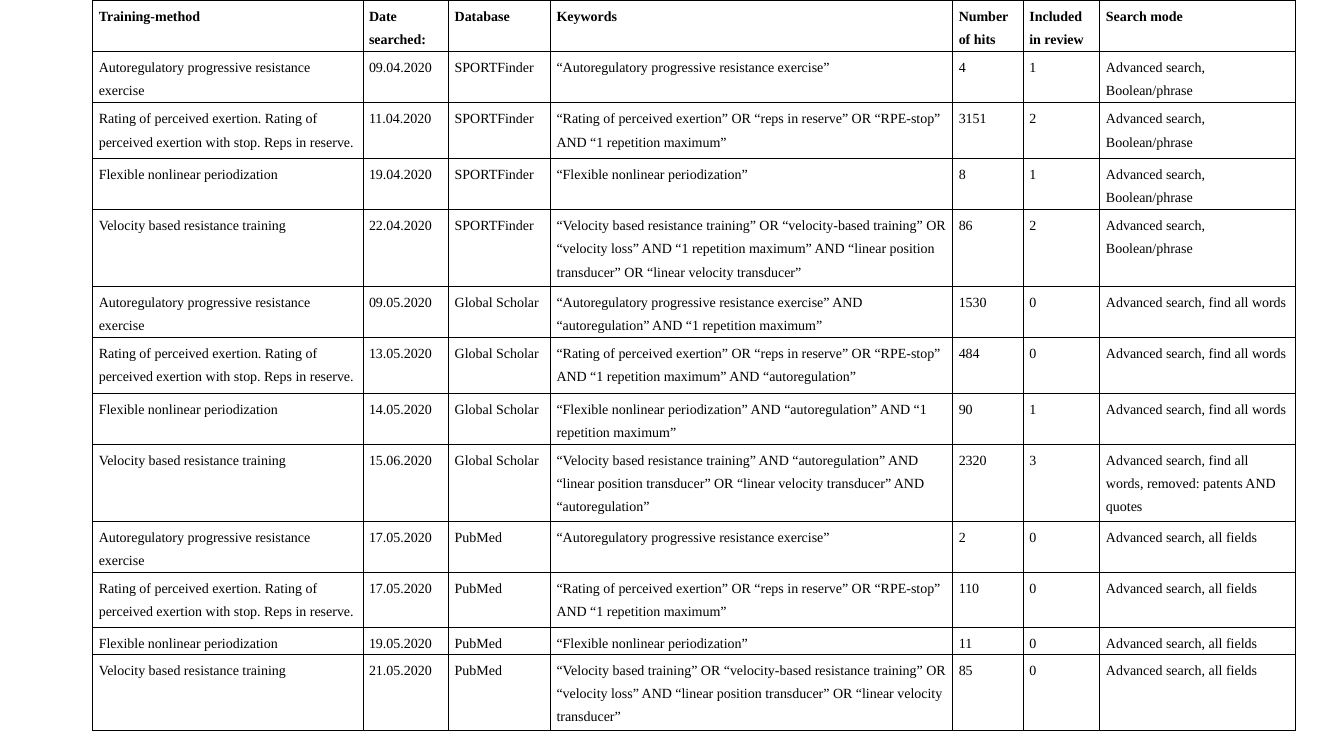
from dataclasses import dataclass

from lxml import etree
from pptx import Presentation
from pptx import util as u
from pptx.dml.color import RGBColor
from pptx.oxml import ns
from pptx.table import _Cell

PX = 9144
BLACK = RGBColor(0x00, 0x00, 0x00)
FONT = "Times New Roman"
COLUMN_WIDTHS = (268, 85, 101, 399, 70, 76, 194)
HEADINGS = (
    "Training-method", "Date searched:", "Database", "Keywords",
    "Number of hits", "Included in review", "Search mode",
)
HEADER_HEIGHT = 51

AUTOREGULATORY = "Autoregulatory progressive resistance exercise"
EXERTION = "Rating of perceived exertion. Rating of perceived exertion with stop. Reps in reserve."
FLEXIBLE = "Flexible nonlinear periodization"
VELOCITY = "Velocity based resistance training"

SPORT = "SPORTFinder"
SCHOLAR = "Global Scholar"
PUBMED = "PubMed"

PHRASE = "Advanced search, Boolean/phrase"
ALL_WORDS = "Advanced search, find all words"
ALL_FIELDS = "Advanced search, all fields"

EXERTION_QUERY = "“Rating of perceived exertion” OR “reps in reserve” OR “RPE-stop” AND “1 repetition maximum”"


@dataclass(frozen=True)
class Search:
    method: str
    date: str
    database: str
    keywords: str
    hits: int
    included: int
    mode: str
    height: int

    def texts(self) -> tuple[str, ...]:
        return (self.method, self.date, self.database, self.keywords,
                str(self.hits), str(self.included), self.mode)


SEARCHES = (
    Search(AUTOREGULATORY, "09.04.2020", SPORT, f"“{AUTOREGULATORY}”", 4, 1, PHRASE, 51),
    Search(EXERTION, "11.04.2020", SPORT, EXERTION_QUERY, 3151, 2, PHRASE, 55),
    Search(FLEXIBLE, "19.04.2020", SPORT, f"“{FLEXIBLE}”", 8, 1, PHRASE, 51),
    Search(VELOCITY, "22.04.2020", SPORT,
           f"“{VELOCITY}” OR “velocity-based training” OR “velocity loss” AND “1 repetition maximum” "
           "AND “linear position transducer” OR “linear velocity transducer”", 86, 2, PHRASE, 76),
    Search(AUTOREGULATORY, "09.05.2020", SCHOLAR,
           f"“{AUTOREGULATORY}” AND “autoregulation” AND “1 repetition maximum”", 1530, 0, ALL_WORDS, 51),
    Search(EXERTION, "13.05.2020", SCHOLAR, f"{EXERTION_QUERY} AND “autoregulation”", 484, 0, ALL_WORDS, 55),
    Search(FLEXIBLE, "14.05.2020", SCHOLAR,
           f"“{FLEXIBLE}” AND “autoregulation” AND “1 repetition maximum”", 90, 1, ALL_WORDS, 51),
    Search(VELOCITY, "15.06.2020", SCHOLAR,
           f"“{VELOCITY}” AND “autoregulation” AND “linear position transducer” "
           "OR “linear velocity transducer” AND “autoregulation”",
           2320, 3, f"{ALL_WORDS}, removed: patents AND quotes", 76),
    Search(AUTOREGULATORY, "17.05.2020", PUBMED, f"“{AUTOREGULATORY}”", 2, 0, ALL_FIELDS, 51),
    Search(EXERTION, "17.05.2020", PUBMED, EXERTION_QUERY, 110, 0, ALL_FIELDS, 55),
    Search(FLEXIBLE, "19.05.2020", PUBMED, f"“{FLEXIBLE}”", 11, 0, ALL_FIELDS, 26),
    Search(VELOCITY, "21.05.2020", PUBMED,
           "“Velocity based training” OR “velocity-based resistance training” OR “velocity loss” "
           "AND “linear position transducer” OR “linear velocity transducer”", 85, 0, ALL_FIELDS, 76),
)


def px(length: int) -> u.Emu:
    return u.Emu(length * PX)


def add_borders(cell: _Cell, color: RGBColor, width: float) -> None:
    properties = cell._tc.get_or_add_tcPr()
    for side in ("lnL", "lnR", "lnT", "lnB"):
        line = etree.SubElement(properties, ns.qn(f"a:{side}"), w=str(u.Pt(width)))
        fill = etree.SubElement(line, ns.qn("a:solidFill"))
        etree.SubElement(fill, ns.qn("a:srgbClr"), val=str(color))


def write_text(cell: _Cell, content: str, *, size: float = 10, bold: bool = False,
               color: RGBColor = BLACK, line_spacing: float = 1.5) -> None:
    paragraph = cell.text_frame.paragraphs[0]
    paragraph.line_spacing = line_spacing
    run = paragraph.add_run()
    run.text = content
    run.font.name = FONT
    run.font.size = u.Pt(size)
    run.font.bold = bold
    run.font.color.rgb = color


def format_cell(cell: _Cell) -> None:
    cell.margin_left = cell.margin_right = px(6)
    cell.margin_top = px(1)
    cell.margin_bottom = px(0)
    add_borders(cell, BLACK, 0.75)
    cell.fill.background()


def main() -> None:
    presentation = Presentation()
    presentation.slide_width = px(1333)
    presentation.slide_height = px(750)
    slide = presentation.slides.add_slide(presentation.slide_layouts[6])

    rows = [HEADINGS, *(search.texts() for search in SEARCHES)]
    heights = [HEADER_HEIGHT, *(search.height for search in SEARCHES)]
    table = slide.shapes.add_table(
        len(rows), len(COLUMN_WIDTHS), px(92), px(0), px(sum(COLUMN_WIDTHS)), px(sum(heights))
    ).table
    table.first_row = False
    table.horz_banding = False
    for column, width in zip(table.columns, COLUMN_WIDTHS):
        column.width = px(width)
    for index, (row, height, texts) in enumerate(zip(table.rows, heights, rows)):
        row.height = px(height)
        for cell, content in zip(row.cells, texts):
            format_cell(cell)
            write_text(cell, content, bold=index == 0)

    presentation.save("out.pptx")


if __name__ == "__main__":
    main()
